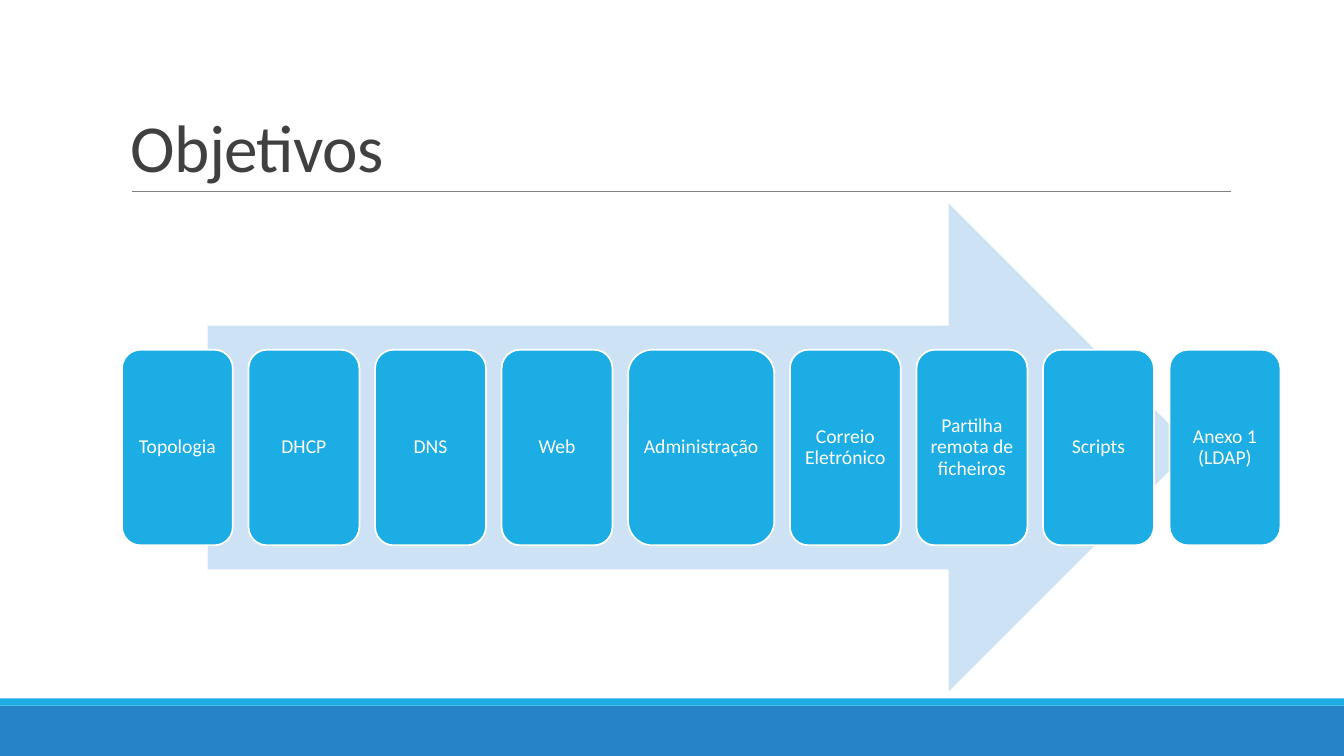
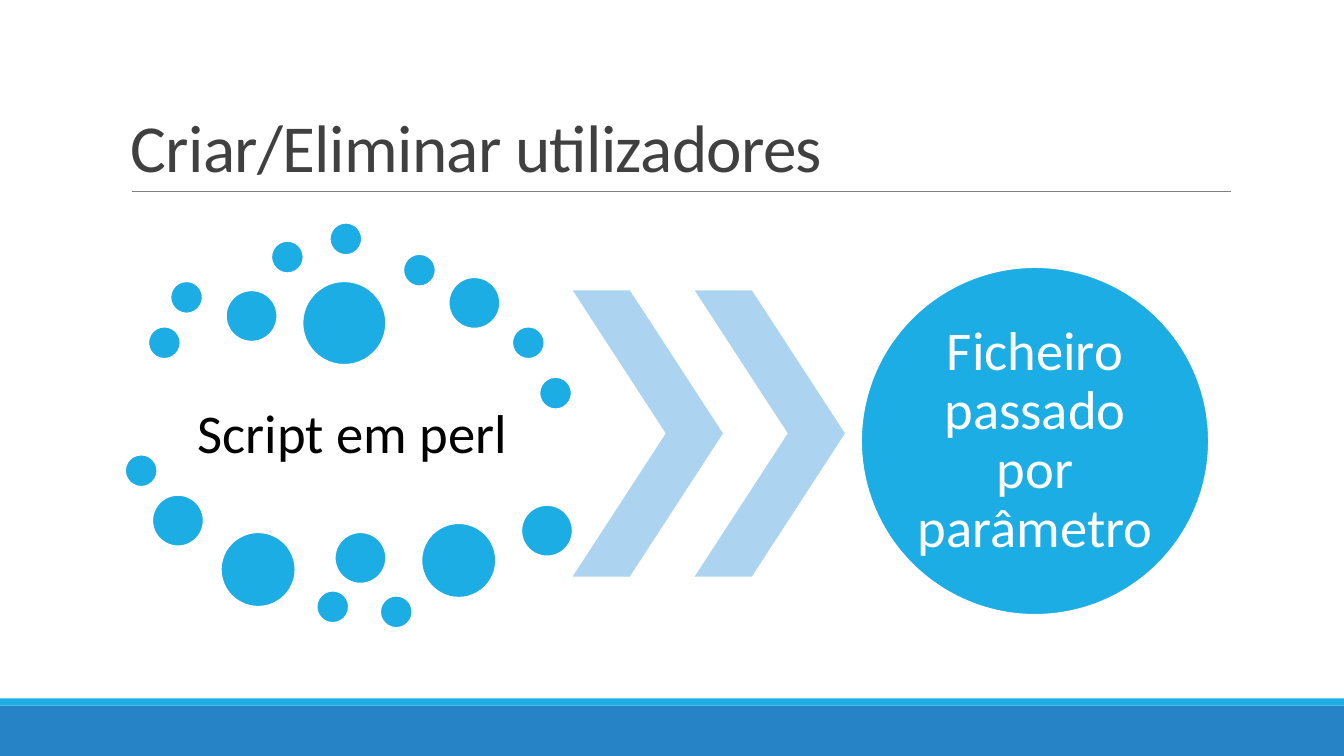
from dataclasses import dataclass
from typing import Any, NamedTuple, Optional

from lxml.etree import SubElement
from pptx import Presentation
from pptx.dml.color import RGBColor
from pptx.enum.shapes import MSO_CONNECTOR, MSO_SHAPE
from pptx.enum.text import MSO_ANCHOR, PP_ALIGN
from pptx.oxml.ns import qn
from pptx.util import Inches, Pt

# Shared look
BLUE = RGBColor(0x1C, 0xAD, 0xE4)
DEEP_BLUE = RGBColor(0x26, 0x83, 0xC6)
PALE_BLUE = RGBColor(0xCD, 0xE3, 0xF5)
SOFT_BLUE = RGBColor(0xAC, 0xD3, 0xEF)
GREY = RGBColor(0x80, 0x80, 0x80)
DARK_GREY = RGBColor(0x40, 0x40, 0x40)
WHITE = RGBColor(0xFF, 0xFF, 0xFF)
BLACK = RGBColor(0x00, 0x00, 0x00)
FONT = "Calibri"
SLIDE_WIDTH, SLIDE_HEIGHT = 13.33, 7.5


class Area(NamedTuple):
    left: float
    top: float
    width: float
    height: float

    def lengths(self) -> list:
        return [Inches(value) for value in self]


@dataclass(frozen=True)
class TextStyle:
    size: float
    color: RGBColor
    inset: Optional[float] = None
    align: PP_ALIGN = PP_ALIGN.CENTER
    anchor: MSO_ANCHOR = MSO_ANCHOR.MIDDLE
    line_spacing: float = 0.9
    tracking: Optional[int] = None


@dataclass(frozen=True)
class Card:
    label: str
    width: float = 1.1


class Dot(NamedTuple):
    left: float
    top: float
    size: float


TITLE = TextStyle(48, DARK_GREY, align=PP_ALIGN.LEFT, anchor=MSO_ANCHOR.BOTTOM,
                  line_spacing=0.85, tracking=-50)
CARD_TEXT = TextStyle(14, WHITE, inset=0.06)
SCRIPT_TEXT = TextStyle(39, BLACK, inset=0.05)
FILE_TEXT = TextStyle(39, WHITE, inset=0)

# Content of the slides
CARDS = [
    Card("Topologia"), Card("DHCP"), Card("DNS"), Card("Web"),
    Card("Administração", 1.45), Card("Correio Eletrónico"),
    Card("Partilha remota de ficheiros"), Card("Scripts"), Card("Anexo 1 (LDAP)"),
]
CARDS_LEFT, CARDS_RIGHT = 1.21, 12.7
CARDS_TOP, CARDS_HEIGHT = 3.47, 1.94

SMALL, MEDIUM, LARGE, LARGEST = 0.32, 0.51, 0.74, 0.83
DOTS = [
    Dot(1.47, 3.24, SMALL), Dot(1.69, 2.79, SMALL), Dot(2.24, 2.88, MEDIUM),
    Dot(2.69, 2.39, SMALL), Dot(3.27, 2.21, SMALL), Dot(4.0, 2.52, SMALL),
    Dot(4.45, 2.75, MEDIUM), Dot(5.08, 3.24, SMALL), Dot(5.35, 3.74, SMALL),
    Dot(3.0, 2.79, LARGEST), Dot(1.24, 4.51, SMALL), Dot(1.51, 4.91, MEDIUM),
    Dot(2.19, 5.28, LARGE), Dot(3.14, 5.86, SMALL), Dot(3.32, 5.28, MEDIUM),
    Dot(3.77, 5.91, SMALL), Dot(4.18, 5.19, LARGE), Dot(5.17, 5.01, MEDIUM),
]
CHEVRON_LEFTS = (5.68, 6.89)


def apply_format(target: Any, values: dict) -> None:
    for name, value in values.items():
        setattr(target, name, value)


def write_text(box: Any, text: str, style: TextStyle) -> None:
    frame = box.text_frame
    apply_format(frame, {"word_wrap": True, "vertical_anchor": style.anchor})
    if style.inset is not None:
        sides = ("margin_left", "margin_top", "margin_right", "margin_bottom")
        apply_format(frame, dict.fromkeys(sides, Inches(style.inset)))
    para = frame.paragraphs[0]
    apply_format(para, {"alignment": style.align, "line_spacing": style.line_spacing})
    span = para.add_run()
    span.text = text
    apply_format(span.font, {"name": FONT, "size": Pt(style.size)})
    span.font.color.rgb = style.color
    if style.tracking is not None:
        span.font._element.set("spc", str(style.tracking))


def add_text(page: Any, area: Area, text: str, style: TextStyle) -> None:
    write_text(page.shapes.add_textbox(*area.lengths()), text, style)


def add_figure(page: Any, kind: MSO_SHAPE, area: Area, fill: RGBColor,
               outlined: bool = False) -> Any:
    figure = page.shapes.add_shape(kind, *area.lengths())
    figure.shadow.inherit = False
    figure.fill.solid()
    figure.fill.fore_color.rgb = fill
    if outlined:
        figure.line.color.rgb = WHITE
        figure.line.width = Pt(1.25)
    else:
        figure.line.fill.background()
    return figure


def add_page(deck: Any, title: str) -> Any:
    page = deck.slides.add_slide(deck.slide_layouts[6])
    # Footer bands
    add_figure(page, MSO_SHAPE.RECTANGLE, Area(0, 7, SLIDE_WIDTH, 0.5), DEEP_BLUE)
    add_figure(page, MSO_SHAPE.RECTANGLE, Area(0, 6.93, SLIDE_WIDTH, 0.07), BLUE)
    # Title and its rule
    rule = page.shapes.add_connector(MSO_CONNECTOR.STRAIGHT, Inches(1.31), Inches(1.9),
                                     Inches(12.21), Inches(1.9))
    rule.line.color.rgb = GREY
    rule.line.width = Pt(0.5)
    SubElement(rule._element.spPr, qn("a:effectLst"))
    add_text(page, Area(1.2, 0.31, 11, 1.59), title, TITLE)
    return page


def build_goals(deck: Any) -> None:
    page = add_page(deck, "Objetivos")
    add_figure(page, MSO_SHAPE.RIGHT_ARROW, Area(2.06, 2.02, 9.77, 4.84), PALE_BLUE)
    # Cards with equal gaps
    free = CARDS_RIGHT - CARDS_LEFT - sum(card.width for card in CARDS)
    gap = free / (len(CARDS) - 1)
    left = CARDS_LEFT
    for card in CARDS:
        area = Area(left, CARDS_TOP, card.width, CARDS_HEIGHT)
        box = add_figure(page, MSO_SHAPE.ROUNDED_RECTANGLE, area, BLUE, outlined=True)
        write_text(box, card.label, CARD_TEXT)
        left += card.width + gap


def build_users(deck: Any) -> None:
    page = add_page(deck, "Criar/Eliminar utilizadores")
    # Script inside a ring of dots
    add_text(page, Area(1.47, 3.65, 4.05, 1.34), "Script em perl", SCRIPT_TEXT)
    for dot in DOTS:
        area = Area(dot.left, dot.top, dot.size, dot.size)
        add_figure(page, MSO_SHAPE.OVAL, area, BLUE, outlined=True)
    # Chevrons leading to the file
    for left in CHEVRON_LEFTS:
        chevron = add_figure(page, MSO_SHAPE.CHEVRON, Area(left, 2.88, 1.49, 2.84), SOFT_BLUE)
        chevron.adjustments[0] = 0.62
    circle = add_figure(page, MSO_SHAPE.OVAL, Area(8.54, 2.65, 3.45, 3.45), BLUE, outlined=True)
    write_text(circle, "Ficheiro passado por parâmetro", FILE_TEXT)


def main() -> None:
    deck = Presentation()
    apply_format(deck, {"slide_width": Inches(SLIDE_WIDTH),
                        "slide_height": Inches(SLIDE_HEIGHT)})
    build_goals(deck)
    build_users(deck)
    deck.save("out.pptx")


if __name__ == "__main__":
    main()
